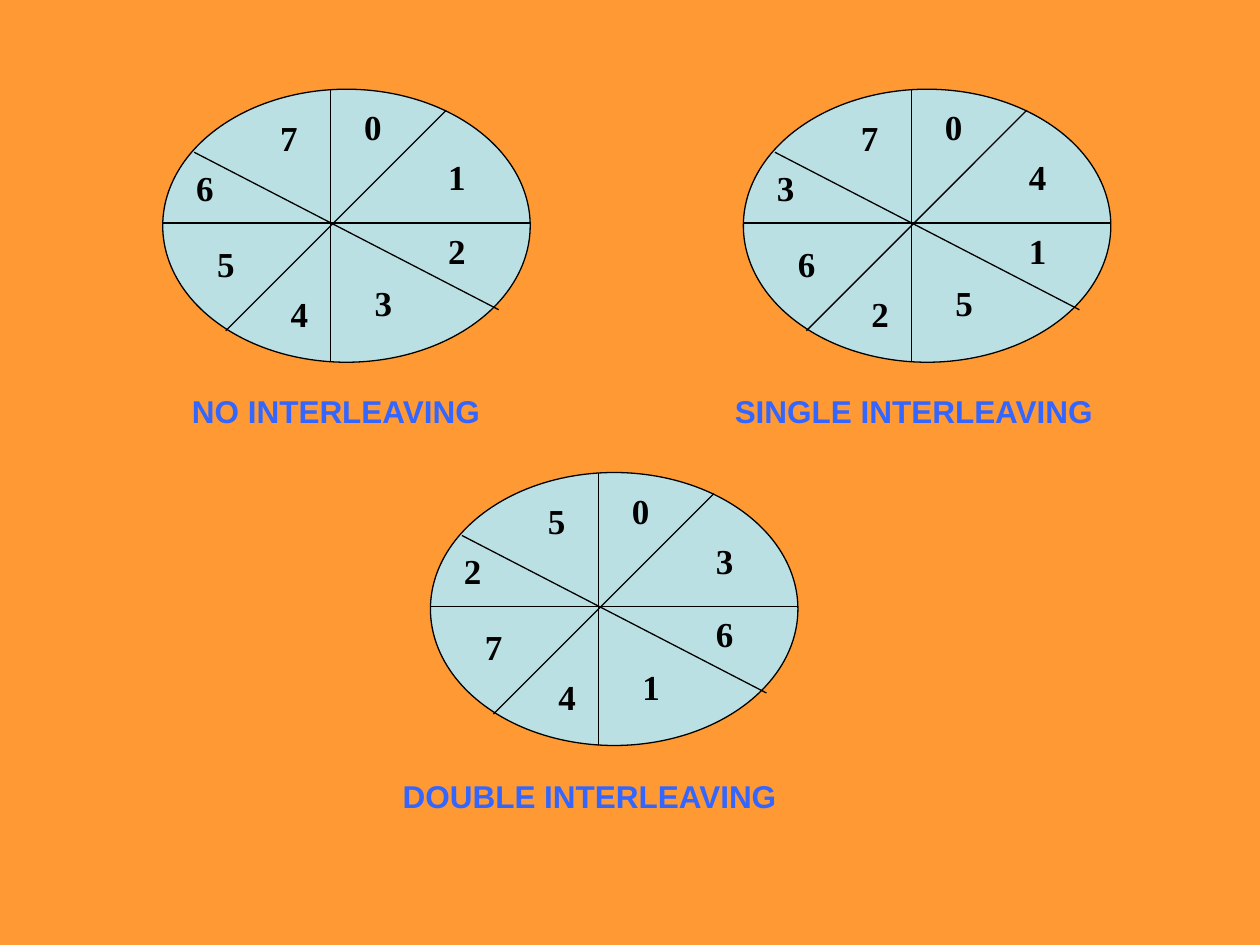
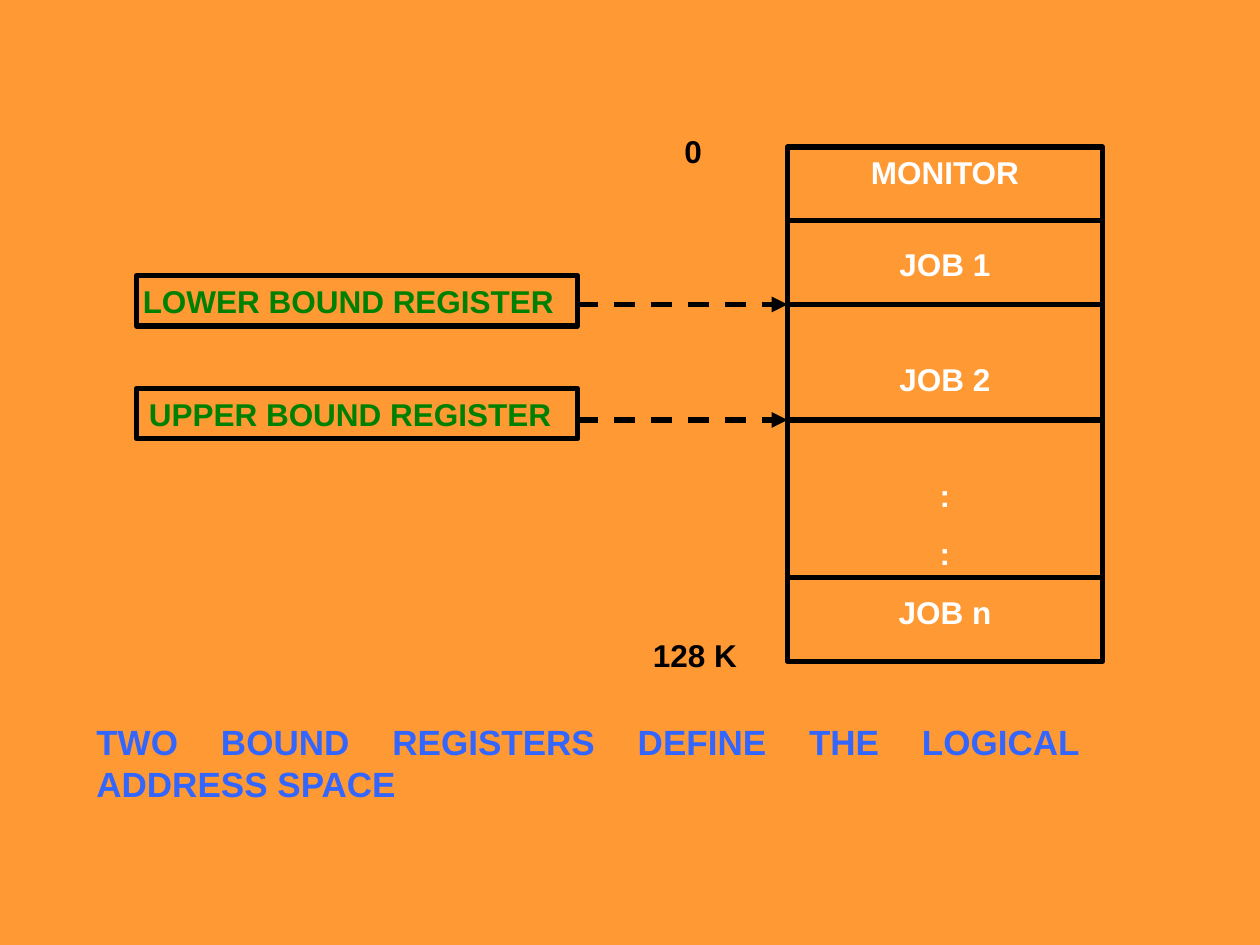
from lxml import etree
from pptx import Presentation
from pptx.dml.color import RGBColor
from pptx.enum import dml, shapes, text
from pptx.oxml.ns import qn
from pptx.util import Pt

# Colours and fonts
ORANGE = RGBColor(0xFF, 0x99, 0x33)
PALE_BLUE = RGBColor(0xBB, 0xE0, 0xE3)
BLUE = RGBColor(0x33, 0x66, 0xFF)
GREEN = RGBColor(0x00, 0x80, 0x00)
BLACK = RGBColor(0, 0, 0)
WHITE = RGBColor(0xFF, 0xFF, 0xFF)
SANS, SERIF = "Arial", "Times New Roman"
LEFT, CENTER, JUSTIFY = text.PP_ALIGN.LEFT, text.PP_ALIGN.CENTER, text.PP_ALIGN.JUSTIFY

# Disks: left, top, sectors clockwise, caption, caption box (dx, dy, width), alignment
DISKS = [
    (424.8, 51, "04152637", "SINGLE INTERLEAVING", (-12, 169.5, 222), LEFT),
    (93, 51, "01234567", "NO INTERLEAVING", (-12, 169.5, 222), CENTER),
    (246, 270, "03614725", "DOUBLE INTERLEAVING", (-23, 170.5, 234), LEFT),
]
DISK_SIZE = (210, 156)
# Spokes and number boxes, measured from a disk's top left corner
SPOKES = [(162, 12, 36, 138), (18, 36, 192, 126), (96, 0, 96, 156), (0, 76.5, 210, 76.5)]
SECTOR_SPOTS = [(108, 6), (156, 34.5), (156, 76.5), (114, 106.5),
                (66, 112.5), (24, 84), (12, 40.5), (60, 12)]

# Memory: each entry with the space before it
MEMORY = (450, 84, 180, 294)
MEMORY_ENTRIES = [("MONITOR", 0), ("JOB 1", 30.7), ("JOB 2", 44.4),
                  (":", 44.4), (":", 11.9), ("JOB n", 11.9)]
LOWER_BOUND, UPPER_BOUND = 174, 240
DIVIDERS = [126, LOWER_BOUND, UPPER_BOUND, 330]
# Registers: label, top, side inset, address it points at
REGISTERS = [("LOWER BOUND REGISTER", 157.5, 3.6, LOWER_BOUND),
             ("UPPER BOUND REGISTER", 222, 7.2, UPPER_BOUND)]
REGISTER_LEFT, REGISTER_WIDTH, REGISTER_HEIGHT = 78, 252, 28.8
ADDRESSES = [("0", 384, 72, 24), ("128 K", 366, 360, 66)]
SUMMARY = "TWO BOUND REGISTERS DEFINE THE LOGICAL ADDRESS SPACE"


def write(shape, entries, color, size=18, font=SANS, align=LEFT, side_inset=7.2):
    """Fill a shape with (words, space before) paragraphs."""
    frame = shape.text_frame
    frame.word_wrap = True
    frame.vertical_anchor = text.MSO_ANCHOR.TOP
    frame.margin_left = frame.margin_right = Pt(side_inset)
    frame.margin_top = frame.margin_bottom = Pt(3.6)
    for index, (words, space) in enumerate(entries):
        para = frame.add_paragraph() if index else frame.paragraphs[0]
        para.alignment = align
        if space:
            para.space_before = Pt(space)
        span = para.add_run()
        span.text = words
        span.font.name, span.font.size, span.font.bold = font, Pt(size), True
        span.font.color.rgb = color


def add_label(page, words, left, top, width, height, color, **style):
    box = page.shapes.add_textbox(Pt(left), Pt(top), Pt(width), Pt(height))
    write(box, [(words, 0)], color, **style)


def add_outline(page, kind, left, top, width, height, weight, fill=None):
    shape = page.shapes.add_shape(kind, Pt(left), Pt(top), Pt(width), Pt(height))
    shape.shadow.inherit = False
    if fill is None:
        shape.fill.background()
    else:
        shape.fill.solid()
        shape.fill.fore_color.rgb = fill
    shape.line.color.rgb = BLACK
    shape.line.width = Pt(weight)
    return shape


def add_line(page, x1, y1, x2, y2, weight, dashed_arrow=False):
    line = page.shapes.add_connector(shapes.MSO_CONNECTOR.STRAIGHT,
                                     Pt(x1), Pt(y1), Pt(x2), Pt(y2))
    line.line.color.rgb = BLACK
    line.line.width = Pt(weight)
    if dashed_arrow:
        line.line.dash_style = dml.MSO_LINE.DASH
        stroke = line.line._get_or_add_ln()
        etree.SubElement(stroke, qn("a:tailEnd"), type="triangle")
    etree.SubElement(line._element.spPr, qn("a:effectLst"))


def build_interleaving(page):
    for left, top, sectors, caption, (dx, dy, width), align in DISKS:
        add_outline(page, shapes.MSO_SHAPE.OVAL, left, top, *DISK_SIZE, 0.75, PALE_BLUE)
        for x1, y1, x2, y2 in SPOKES:
            add_line(page, left + x1, top + y1, left + x2, top + y2, 0.75)
        for number, (x, y) in zip(sectors, SECTOR_SPOTS):
            add_label(page, number, left + x, top + y, 18, 31.5, BLACK, size=20, font=SERIF)
        add_label(page, caption, left + dx, top + dy, width, 28.8, BLUE, align=align)


def build_bound_registers(page):
    # Memory column
    left, _, width, _ = MEMORY
    memory = add_outline(page, shapes.MSO_SHAPE.RECTANGLE, *MEMORY, 3)
    write(memory, MEMORY_ENTRIES, WHITE, align=CENTER)
    for y in DIVIDERS:
        add_line(page, left, y, left + width, y, 3)

    # Registers and the addresses they hold
    for label, top, inset, bound in REGISTERS:
        register = add_outline(page, shapes.MSO_SHAPE.RECTANGLE, REGISTER_LEFT, top,
                               REGISTER_WIDTH, REGISTER_HEIGHT, 3)
        write(register, [(label, 0)], GREEN, side_inset=inset)
        add_line(page, REGISTER_LEFT + REGISTER_WIDTH, bound, left, bound, 3, dashed_arrow=True)

    # Address limits and summary
    for address, x, y, box_width in ADDRESSES:
        add_label(page, address, x, y, box_width, 28.8, BLACK)
    add_label(page, SUMMARY, 48, 408, 576, 55.5, BLUE, size=20, align=JUSTIFY)


def main():
    deck = Presentation()
    deck.slide_width, deck.slide_height = Pt(720), Pt(540)
    background = deck.slide_master.background.fill
    background.solid()
    background.fore_color.rgb = ORANGE
    for build in (build_interleaving, build_bound_registers):
        build(deck.slides.add_slide(deck.slide_layouts[6]))
    deck.save("out.pptx")


if __name__ == "__main__":
    main()
